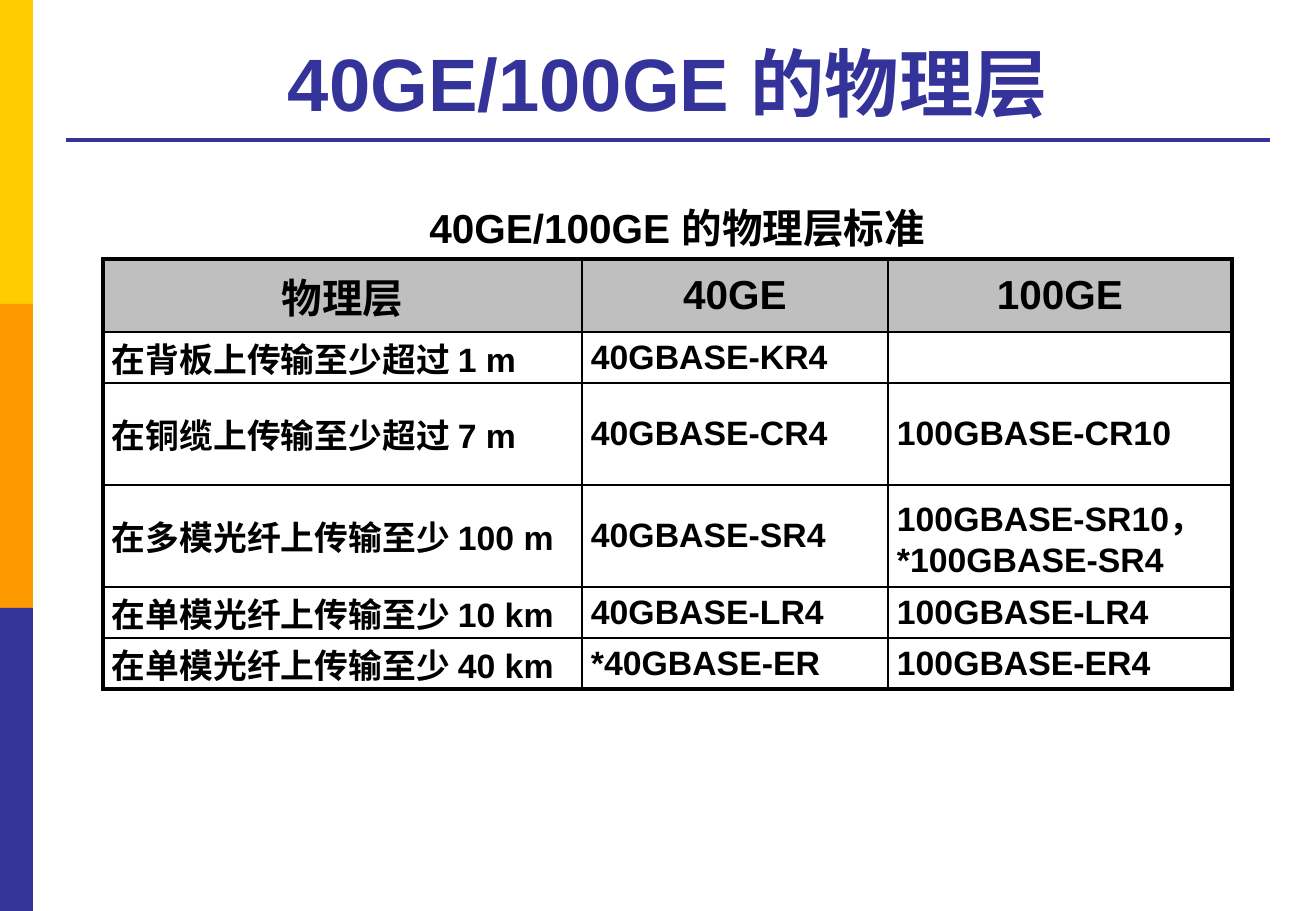
from lxml import etree
from pptx import Presentation
from pptx.dml.color import RGBColor
from pptx.enum.shapes import MSO_CONNECTOR, MSO_SHAPE
from pptx.enum.text import MSO_ANCHOR, PP_ALIGN
from pptx.oxml.ns import qn
from pptx.util import Pt

EMU_PER_PX = 7526
SLIDE_W, SLIDE_H = 1316, 911

RECTANGLE = MSO_SHAPE.RECTANGLE
STRAIGHT = MSO_CONNECTOR.STRAIGHT
MIDDLE, BOTTOM = MSO_ANCHOR.MIDDLE, MSO_ANCHOR.BOTTOM
CENTER, JUSTIFY = PP_ALIGN.CENTER, PP_ALIGN.JUSTIFY

YELLOW = RGBColor(0xFF, 0xCC, 0x00)
ORANGE = RGBColor(0xFF, 0x99, 0x00)
INDIGO = RGBColor(0x33, 0x33, 0x99)
BLACK = RGBColor(0x00, 0x00, 0x00)
GRAY = RGBColor(0xBF, 0xBF, 0xBF)
WHITE = RGBColor(0xFF, 0xFF, 0xFF)

FONT = "Arial"
THICK, THIN = 2.25, 1
COLUMN_WIDTHS = [479, 306, 344]
ROW_HEIGHTS = [73, 51, 102, 102, 51, 51]
STANDARDS = [
    ["物理层", "40GE", "100GE"],
    ["在背板上传输至少超过 1 m", "40GBASE-KR4", ""],
    ["在铜缆上传输至少超过 7 m", "40GBASE-CR4", "100GBASE-CR10"],
    ["在多模光纤上传输至少 100 m", "40GBASE-SR4", "100GBASE-SR10，\n*100GBASE-SR4"],
    ["在单模光纤上传输至少 10 km", "40GBASE-LR4", "100GBASE-LR4"],
    ["在单模光纤上传输至少 40 km", "*40GBASE-ER", "100GBASE-ER4"],
]


def px(*lengths):
    return [length * EMU_PER_PX for length in lengths]


def write(frame, text, size, color, align):
    frame.text = text
    for paragraph in frame.paragraphs:
        paragraph.alignment = align
        font = paragraph.font
        font.name, font.size, font.bold = FONT, Pt(size), True
        font.color.rgb = color
        for run in paragraph.runs:
            run.font.name, run.font.size, run.font.bold = FONT, Pt(size), True
            run.font.color.rgb = color


def add_band(slide, top, height, color):
    band = slide.shapes.add_shape(RECTANGLE, *px(0, top, 33, height))
    band.shadow.inherit = False
    band.fill.solid()
    band.fill.fore_color.rgb = color
    band.line.fill.background()


def add_rule(slide, left, right, y):
    rule = slide.shapes.add_connector(STRAIGHT, *px(left, y, right, y))
    rule.line.color.rgb = INDIGO
    rule.line.width = Pt(THICK)
    etree.SubElement(rule.element.spPr, qn("a:effectLst"))


def add_heading(slide, box, text, size, color, anchor):
    frame = slide.shapes.add_textbox(*px(*box)).text_frame
    frame.word_wrap = True
    frame.vertical_anchor = anchor
    write(frame, text, size, color, CENTER)


def set_borders(cell, widths):
    """Draw black borders, with widths in points for left, right, top, bottom."""
    properties = cell._tc.get_or_add_tcPr()
    for index, (side, width) in enumerate(zip("LRTB", widths)):
        border = etree.Element(qn(f"a:ln{side}"), w=str(Pt(width)))
        fill = etree.SubElement(border, qn("a:solidFill"))
        etree.SubElement(fill, qn("a:srgbClr"), val=str(BLACK))
        properties.insert(index, border)


def add_standards_table(slide, left, top):
    last_row, last_column = len(ROW_HEIGHTS) - 1, len(COLUMN_WIDTHS) - 1
    box = px(left, top, sum(COLUMN_WIDTHS), sum(ROW_HEIGHTS))
    table = slide.shapes.add_table(last_row + 1, last_column + 1, *box).table
    for column, width in zip(table.columns, px(*COLUMN_WIDTHS)):
        column.width = width
    for row, height in zip(table.rows, px(*ROW_HEIGHTS)):
        row.height = height

    for r, entries in enumerate(STANDARDS):
        header = r == 0
        for c, entry in enumerate(entries):
            cell = table.cell(r, c)
            cell.margin_left, cell.margin_right = px(9, 9)
            cell.margin_top = cell.margin_bottom = 0
            cell.vertical_anchor = MIDDLE
            cell.fill.solid()
            cell.fill.fore_color.rgb = GRAY if header else WHITE
            write(cell.text_frame, entry, 24 if header else 20, BLACK,
                  CENTER if header else JUSTIFY)
            on_edge = (c == 0, c == last_column, header, r == last_row)
            set_borders(cell, [THICK if edge else THIN for edge in on_edge])


def main():
    prs = Presentation()
    prs.slide_width, prs.slide_height = px(SLIDE_W, SLIDE_H)
    slide = prs.slides.add_slide(prs.slide_layouts[6])

    band_height = 304
    for index, color in enumerate([YELLOW, ORANGE, INDIGO]):
        top = index * band_height
        add_band(slide, top, min(band_height, SLIDE_H - top), color)
    add_rule(slide, 66, 1270, 140)
    add_heading(slide, (66, 26, 1204, 106), "40GE/100GE 的物理层", 44, INDIGO, BOTTOM)
    add_standards_table(slide, 103, 259)
    add_heading(slide, (237, 197, 880, 61), "40GE/100GE 的物理层标准", 24, BLACK, MIDDLE)

    prs.save("out.pptx")


if __name__ == "__main__":
    main()
